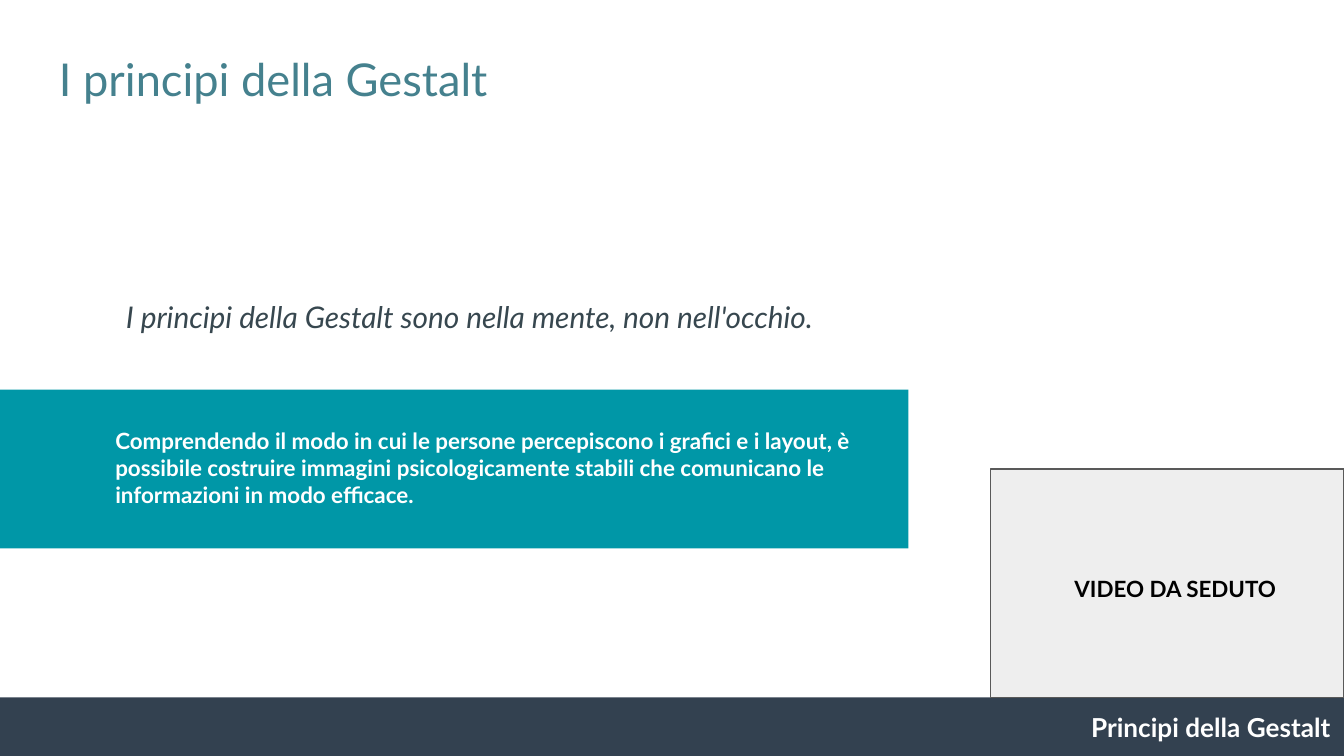
from dataclasses import dataclass

from pptx import Presentation
from pptx.dml.color import RGBColor
from pptx.enum import shapes, text
from pptx.util import Inches, Pt


@dataclass(frozen=True)
class Theme:
    font: str = "Lato"
    heading: str = "45818E"
    teal: str = "0097A7"
    navy: str = "334150"
    quote: str = "37474F"
    panel: str = "EEEEEE"
    border: str = "595959"
    white: str = "FFFFFF"
    black: str = "000000"
    title_size: float = 24.2
    quote_size: float = 16
    footer_size: float = 14
    body_size: float = 12


THEME = Theme()
LEFT, CENTER, RIGHT = text.PP_ALIGN.LEFT, text.PP_ALIGN.CENTER, text.PP_ALIGN.RIGHT


def add_block(slide, box, fill, border=None):
    """Add a flat rectangle, outlined only when a border colour is given."""
    block = slide.shapes.add_shape(
        shapes.MSO_SHAPE.RECTANGLE, *(Inches(side) for side in box))
    block.shadow.inherit = False
    block.fill.solid()
    block.fill.fore_color.rgb = RGBColor.from_string(fill)
    if border:
        block.line.color.rgb = RGBColor.from_string(border)
        block.line.width = Pt(0.75)
    else:
        block.line.fill.background()


def add_label(slide, box, words, size, color, align=LEFT, bold=False, italic=False):
    """Add a wrapped text box holding one paragraph."""
    label = slide.shapes.add_textbox(*(Inches(side) for side in box))
    frame = label.text_frame
    frame.word_wrap = True
    frame.vertical_anchor = text.MSO_ANCHOR.TOP
    frame.margin_left = frame.margin_right = Inches(0.1)
    frame.margin_top = frame.margin_bottom = Inches(0.1)

    paragraph = frame.paragraphs[0]
    paragraph.alignment = align
    run = paragraph.add_run()
    run.text = words
    run.font.name = THEME.font
    run.font.size = Pt(size)
    run.font.bold = bold
    run.font.italic = italic
    run.font.color.rgb = RGBColor.from_string(color)


def main():
    # Widescreen page, 16:9
    deck = Presentation()
    deck.slide_width = Inches(10)
    deck.slide_height = Inches(10 * 9 / 16)
    slide = deck.slides.add_slide(deck.slide_layouts[6])

    # Heading
    add_label(slide, (0.34, 0.28, 9.32, 0.63), "I principi della Gestalt",
              THEME.title_size, THEME.heading)

    # Key message on the teal band
    add_block(slide, (0, 2.9, 6.76, 1.18), THEME.teal)
    add_label(slide, (0.76, 3.08, 5.9, 0.81),
              "Comprendendo il modo in cui le persone percepiscono i grafici e i "
              "layout, è possibile costruire immagini psicologicamente stabili che "
              "comunicano le informazioni in modo efficace.",
              THEME.body_size, THEME.white, bold=True)

    # Footer
    add_block(slide, (-0.02, 5.19, 10.02, 0.44), THEME.navy)
    add_label(slide, (4.56, 5.19, 5.44, 0.44), "Principi della Gestalt",
              THEME.footer_size, THEME.white, RIGHT, bold=True)

    # Space reserved for the video
    add_block(slide, (7.37, 3.49, 2.63, 1.7), THEME.panel, THEME.border)
    add_label(slide, (7.65, 4.18, 2.19, 0.63), "VIDEO DA SEDUTO",
              THEME.body_size, THEME.black, CENTER, bold=True)

    # Quote
    add_label(slide, (0.19, 2.12, 6.61, 0.42),
              "I principi della Gestalt sono nella mente, non nell'occhio.",
              THEME.quote_size, THEME.quote, CENTER, italic=True)

    deck.save("out.pptx")


if __name__ == "__main__":
    main()
